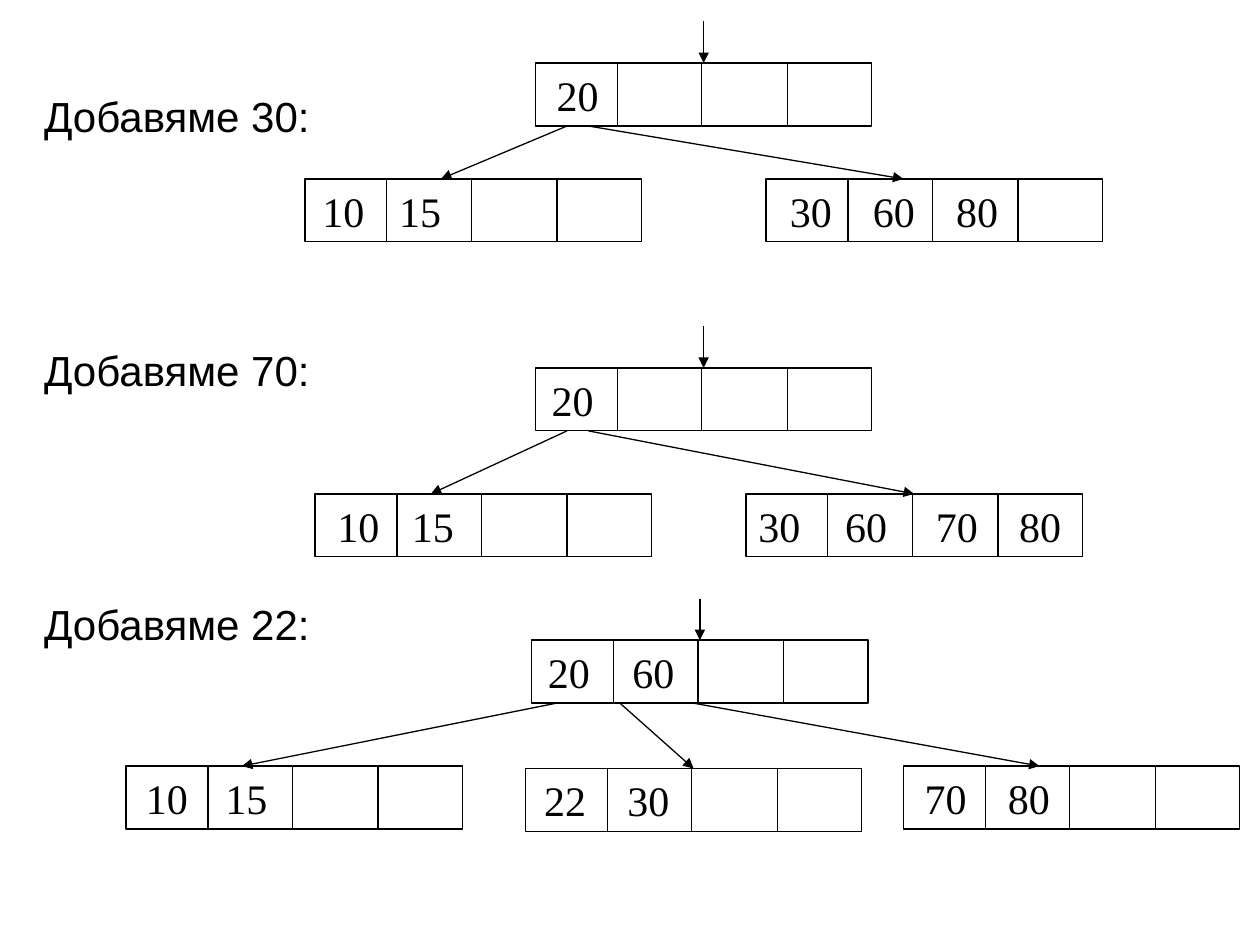
from lxml.etree import SubElement
from pptx import Presentation
from pptx.dml.color import RGBColor
from pptx.enum.shapes import MSO_CONNECTOR, MSO_SHAPE
from pptx.enum.text import MSO_ANCHOR, MSO_AUTO_SIZE, PP_ALIGN
from pptx.oxml.ns import qn
from pptx.util import Inches, Pt

NODE_W, NODE_H = 2.67, 0.5
DIVIDERS = (0.65, 1.32, 2.0)
VALUE_W = 0.58
ENTRY_LENGTH = 0.33
STEP_PITCH = 144  # points from one step heading to the next
LINE_HEIGHT = 27.6
TOP = 0  # connection site in the middle of the upper side


def color(hex_string):
    return RGBColor.from_string(hex_string)


class TreeSlide:
    """Holds the style and the slide on which the B-trees are drawn."""

    heading_font = "Arial"
    value_font = "Times New Roman"
    size = Pt(24)
    ink = "000000"
    paper = "FFFFFF"
    line_width = Pt(0.75)

    def __init__(self, prs):
        self.slide = prs.slides.add_slide(prs.slide_layouts[5])
        self.shapes = self.slide.shapes

    def style_font(self, p, name):
        for r in p.runs:
            r.font.name = name
            r.font.size = self.size
            r.font.color.rgb = color(self.ink)

    def style_line(self, line):
        line.color.rgb = color(self.ink)
        line.width = self.line_width

    def headings(self, steps):
        title = self.shapes.title
        title.left, title.top = Inches(0.25), Inches(0.67)
        title.width, title.height = Inches(9.33), Inches(6.42)
        tf = title.text_frame
        tf.text = "\n".join(steps)
        tf.auto_size = MSO_AUTO_SIZE.NONE
        tf.vertical_anchor = MSO_ANCHOR.TOP
        for i, p in enumerate(tf.paragraphs):
            p.alignment = PP_ALIGN.LEFT
            p.space_before = Pt(STEP_PITCH - LINE_HEIGHT if i else 0)
            self.style_font(p, self.heading_font)

    def line(self, shapes, x1, y1, x2, y2):
        c = shapes.add_connector(MSO_CONNECTOR.STRAIGHT, Inches(x1), Inches(y1),
                                 Inches(x2), Inches(y2))
        self.style_line(c.line)
        SubElement(c._element.spPr, qn("a:effectLst"))
        return c

    def arrow(self, x1, y1, x2, y2, node=None):
        """Draw an arrow, joined to the top of the node if one is given."""
        c = self.line(self.shapes, x1, y1, x2, y2)
        SubElement(c.line._get_or_add_ln(), qn("a:tailEnd"), type="triangle")
        if node is not None:
            c.end_connect(node, TOP)

    def entry(self, x, y, node):
        center = x + NODE_W / 2
        self.arrow(center, y - ENTRY_LENGTH, center, y, node)

    def node(self, x, y, values):
        """Draw a four-cell node and its (text, left) values; return its box."""
        group = self.shapes.add_group_shape()
        sp = group.shapes.add_shape(MSO_SHAPE.RECTANGLE, Inches(x), Inches(y),
                                    Inches(NODE_W), Inches(NODE_H))
        sp.shadow.inherit = False
        sp.fill.solid()
        sp.fill.fore_color.rgb = color(self.paper)
        self.style_line(sp.line)
        for dx in DIVIDERS:
            self.line(group.shapes, x + dx, y, x + dx, y + NODE_H)
        for text, left in values:
            self.value(text, left, y)
        return sp

    def value(self, text, x, y):
        box = self.shapes.add_textbox(Inches(x), Inches(y), Inches(VALUE_W), Inches(NODE_H))
        tf = box.text_frame
        tf.word_wrap = True
        tf.text = text
        self.style_font(tf.paragraphs[0], self.value_font)


# Each tree: root (x, y, values), children (x, y, values),
# and for each child the arrow's start x and end x.
TREES = [
    ((4.25, 0.5, [("20", 4.32)]),
     [(2.42, 1.42, [("10", 2.46), ("15", 3.07)]),
      (6.08, 1.42, [("30", 6.17), ("60", 6.83), ("80", 7.49)])],
     [(4.5, 3.5), (4.67, 7.17)]),
    ((4.25, 2.92, [("20", 4.28)]),
     [(2.5, 3.92, [("10", 2.58), ("15", 3.17)]),
      (5.92, 3.92, [("30", 5.92), ("60", 6.61), ("70", 7.33), ("80", 7.99)])],
     [(4.5, 3.42), (4.67, 7.25)]),
    ((4.22, 5.08, [("20", 4.25), ("60", 4.92)]),
     [(1, 6.08, [("10", 1.06), ("15", 1.69)]),
      (4.17, 6.1, [("22", 4.22), ("30", 4.88)]),
      (7.17, 6.08, [("70", 7.24), ("80", 7.9)])],
     [(4.42, 1.92), (4.92, 5.5), (5.5, 8.25)]),
]


def main():
    prs = Presentation()
    prs.slide_width, prs.slide_height = Inches(10), Inches(7.5)
    s = TreeSlide(prs)
    s.headings(["Добавяме 30:", "Добавяме 70:", "Добавяме 22:"])
    for root, children, arrows in TREES:
        x, y, _ = root
        s.entry(x, y, s.node(*root))
        for child, (start, end) in zip(children, arrows):
            sp = s.node(*child)
            at_middle = abs(child[0] + NODE_W / 2 - end) < 0.02
            s.arrow(start, y + NODE_H, end, child[1], sp if at_middle else None)
    prs.save("out.pptx")


if __name__ == "__main__":
    main()
